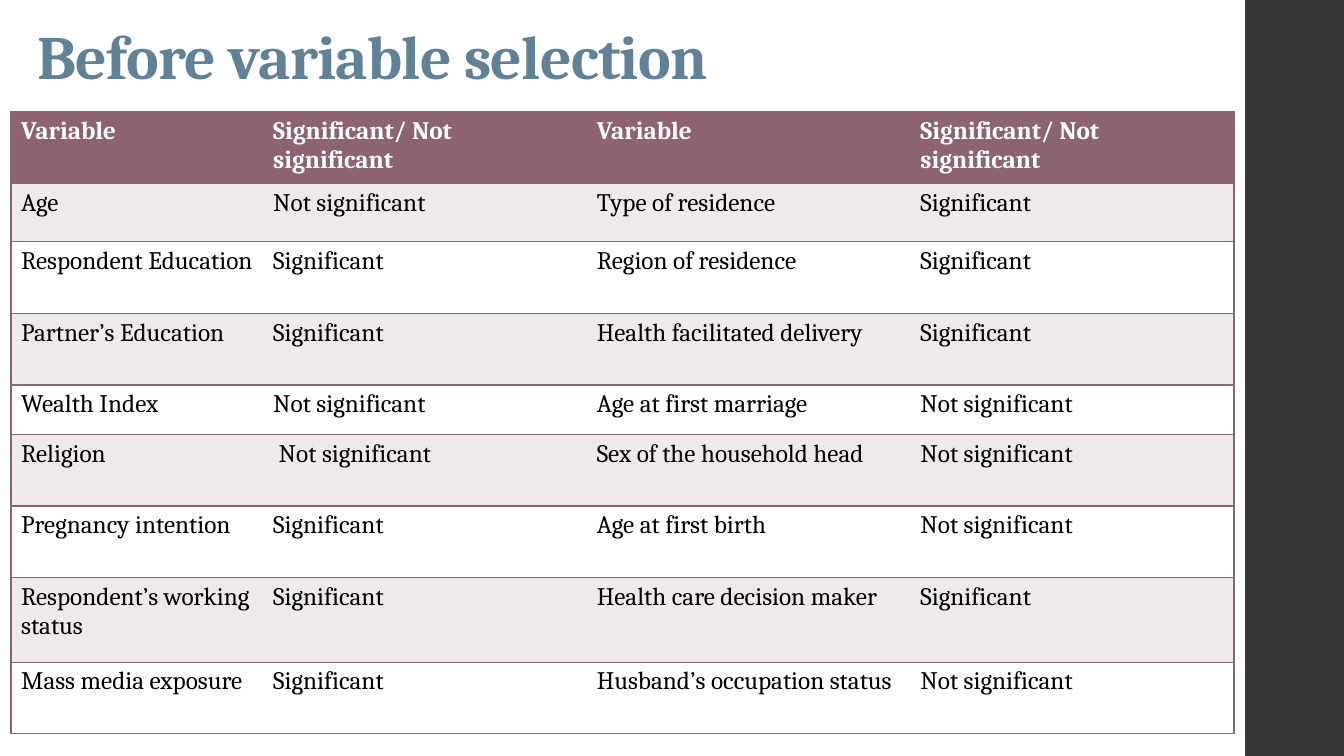
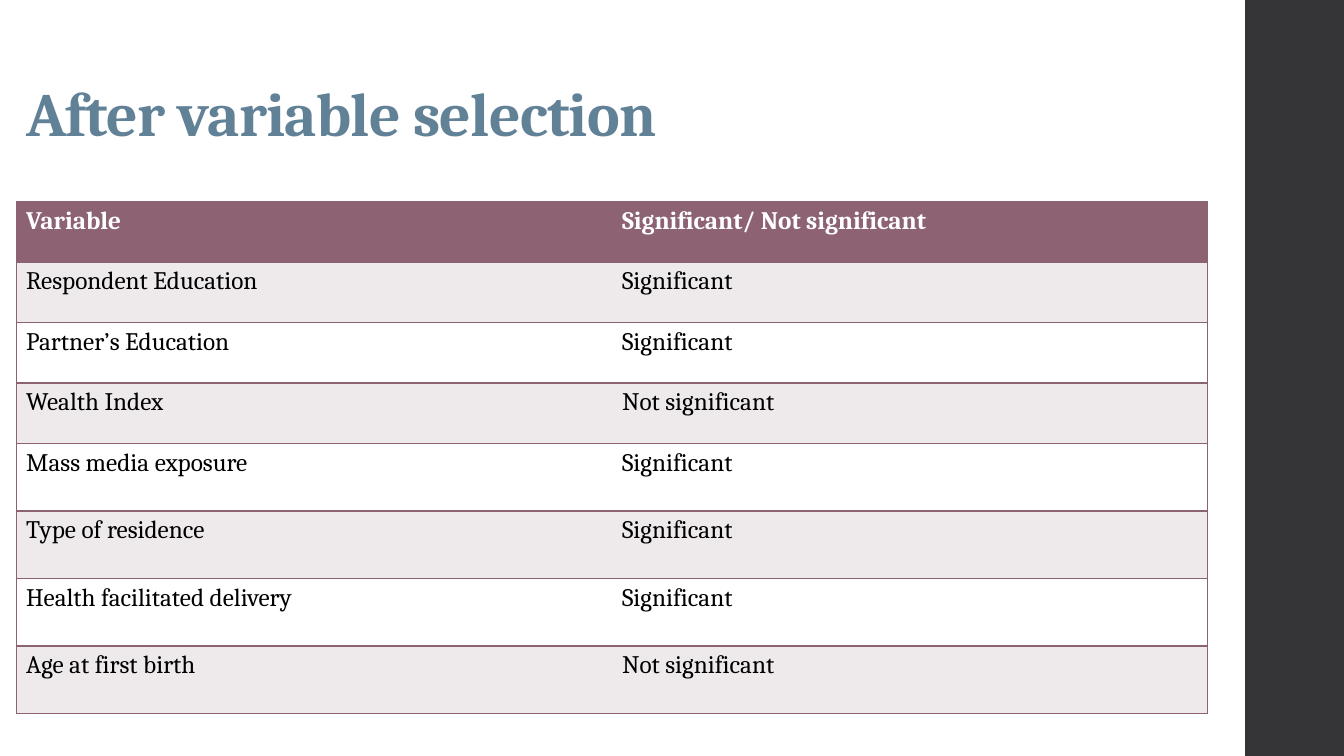
from lxml import etree
from pptx import Presentation
from pptx.dml.color import RGBColor
from pptx.enum.shapes import MSO_SHAPE
from pptx.enum.text import MSO_ANCHOR, MSO_AUTO_SIZE, PP_ALIGN
from pptx.oxml.ns import qn
from pptx.util import Inches, Pt

RECTANGLE = MSO_SHAPE.RECTANGLE
BOTTOM = MSO_ANCHOR.BOTTOM
NO_AUTOFIT = MSO_AUTO_SIZE.NONE
LEFT = PP_ALIGN.LEFT

FONT = "Cambria"
TITLE_BLUE, PLUM, STRIPE = "618197", "8D6374", "EEEAEB"
WHITE, BLACK, CHARCOAL = "FFFFFF", "000000", "353537"
SLIDE_WIDTH, SLIDE_HEIGHT, BAND_LEFT = 13.33, 7.5, 12.35

YES, NO = "Significant", "Not significant"
HEADER = ("Variable", "Significant/ Not significant")

BEFORE_ROWS = [
    HEADER * 2,
    ("Age", NO, "Type of residence", YES),
    ("Respondent Education", YES, "Region of residence", YES),
    ("Partner’s Education", YES, "Health facilitated delivery", YES),
    ("Wealth Index", NO, "Age at first marriage", NO),
    ("Religion", " " + NO, "Sex of the household head", NO),
    ("Pregnancy intention", YES, "Age at first birth", NO),
    ("Respondent’s working status", YES, "Health care decision maker", YES),
    ("Mass media exposure", YES, "Husband’s occupation status", NO),
]
BEFORE_HEIGHTS = [0.71, 0.58, 0.71, 0.71, 0.49, 0.71, 0.71, 0.84, 0.71]

AFTER_ROWS = [
    HEADER,
    ("Respondent Education", YES),
    ("Partner’s Education", YES),
    ("Wealth Index", NO),
    ("Mass media exposure", YES),
    ("Type of residence", YES),
    ("Health facilitated delivery", YES),
    ("Age at first birth", NO),
]
AFTER_HEIGHTS = [0.6] * 4 + [0.67] * 4


def rgb(hex_color):
    """Turn a hex string into a colour."""
    return RGBColor.from_string(hex_color)


def style_font(font, size, color, bold):
    """Apply the deck's typeface with a size, colour and weight."""
    font.name = FONT
    font.size = Pt(size)
    font.color.rgb = rgb(color)
    font.bold = bold


def add_layout_band(layout, slide):
    """Put the dark side band on the layout, by way of a slide."""
    band = slide.shapes.add_shape(
        RECTANGLE, Inches(BAND_LEFT), 0,
        Inches(SLIDE_WIDTH - BAND_LEFT), Inches(SLIDE_HEIGHT))
    band.shadow.inherit = False
    band.fill.solid()
    band.fill.fore_color.rgb = rgb(CHARCOAL)
    band.line.fill.background()
    layout.shapes.element.append(band.element)


def set_title(slide, text, left, top, width, height):
    """Move, fill and format the title placeholder."""
    title = slide.shapes.title
    title.left, title.top = Inches(left), Inches(top)
    title.width, title.height = Inches(width), Inches(height)
    frame = title.text_frame
    frame.text = text
    frame.word_wrap = True
    frame.auto_size = NO_AUTOFIT
    frame.vertical_anchor = BOTTOM
    paragraph = frame.paragraphs[0]
    paragraph.alignment = LEFT
    paragraph.line_spacing = 0.9
    run = paragraph.runs[0]
    style_font(run.font, 44, TITLE_BLUE, True)
    run._r.get_or_add_rPr().set("spc", "-50")


def set_borders(cell, is_first, is_last):
    """Rule the cell above and below, and at the table's outer sides."""
    properties = cell._tc.get_or_add_tcPr()
    sides = {"a:lnL": is_first, "a:lnR": is_last, "a:lnT": True, "a:lnB": True}
    for tag, visible in sides.items():
        border = etree.SubElement(properties, qn(tag), w=str(Pt(1)))
        if visible:
            fill = etree.SubElement(border, qn("a:solidFill"))
            etree.SubElement(fill, qn("a:srgbClr"), val=PLUM)
        else:
            etree.SubElement(border, qn("a:noFill"))


def add_variable_table(slide, rows, left, top, widths, heights):
    """Add a striped table with a plum header row."""
    table = slide.shapes.add_table(
        len(rows), len(widths), Inches(left), Inches(top),
        Inches(sum(widths)), Inches(sum(heights))).table
    for column, width in zip(table.columns, widths):
        column.width = Inches(width)
    for row_index, (texts, height) in enumerate(zip(rows, heights)):
        row = table.rows[row_index]
        row.height = Inches(height)
        is_header = row_index == 0
        fill = PLUM if is_header else STRIPE if row_index % 2 else WHITE
        for column_index, text in enumerate(texts):
            cell = row.cells[column_index]
            set_borders(cell, column_index == 0, column_index == len(texts) - 1)
            cell.fill.solid()
            cell.fill.fore_color.rgb = rgb(fill)
            cell.text_frame.text = text
            style_font(cell.text_frame.paragraphs[0].runs[0].font, 18,
                       WHITE if is_header else BLACK, is_header)


def main():
    """Build both slides and save the deck."""
    deck = Presentation()
    deck.slide_width, deck.slide_height = Inches(SLIDE_WIDTH), Inches(SLIDE_HEIGHT)
    layout = deck.slide_layouts[5]

    before = deck.slides.add_slide(layout)
    add_layout_band(layout, before)
    set_title(before, "Before variable selection", 0.27, 0.03, 11.71, 0.94)
    add_variable_table(before, BEFORE_ROWS, 0.11, 1.11,
                       [2.5] + [3.21] * 3, BEFORE_HEIGHTS)

    after = deck.slides.add_slide(layout)
    set_title(after, "After variable selection", 0.16, 0.4, 11.82, 1.14)
    add_variable_table(after, AFTER_ROWS, 0.16, 2, [5.91] * 2, AFTER_HEIGHTS)

    deck.save("out.pptx")


if __name__ == "__main__":
    main()
